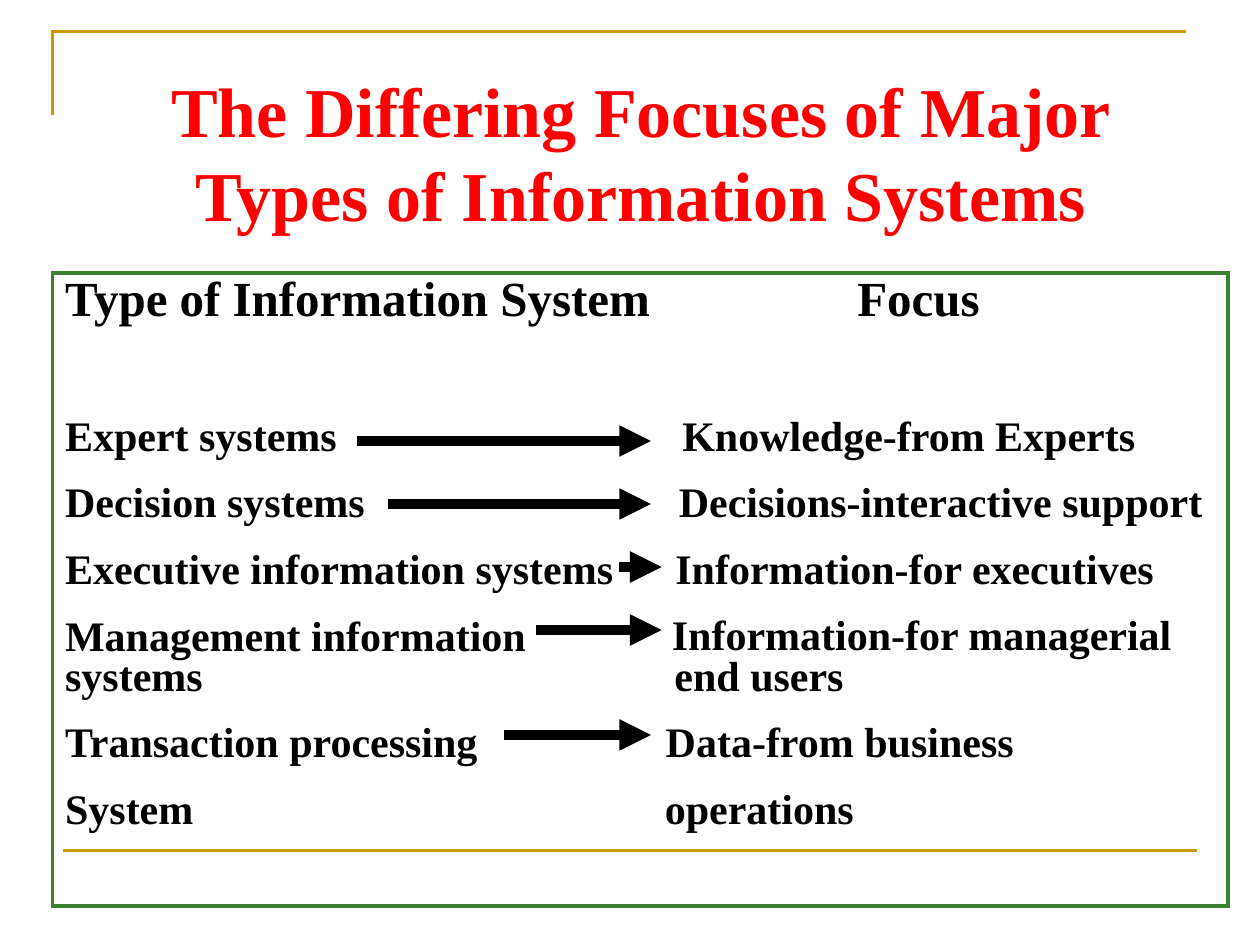
from lxml.etree import SubElement
from pptx import Presentation
from pptx.dml.color import RGBColor
from pptx.enum.shapes import MSO_CONNECTOR
from pptx.enum.text import MSO_ANCHOR, MSO_AUTO_SIZE, PP_ALIGN
from pptx.oxml.ns import qn
from pptx.util import Pt

BLACK = RGBColor(0, 0, 0)
RED = RGBColor(0xFF, 0, 0)
GREEN = RGBColor(0x3B, 0x81, 0x2F)
GOLD = RGBColor(0xCC, 0x99, 0)


def write(paragraph, text, size, color=BLACK, align=PP_ALIGN.LEFT, before=0, spacing=1.0, margin=0):
    paragraph.text = text
    properties = paragraph._p.get_or_add_pPr()
    properties.set("marL", str(Pt(margin)))
    properties.set("indent", "0")
    SubElement(properties, qn("a:buNone"))
    paragraph.alignment = align
    paragraph.space_before = Pt(before)
    paragraph.line_spacing = spacing
    for run in paragraph.runs:
        run.font.name = "Times New Roman"
        run.font.size = Pt(size)
        run.font.bold = True
        run.font.color.rgb = color


def draw_line(left, right, y, color, width, arrow=False):
    line = slide.shapes.add_connector(MSO_CONNECTOR.STRAIGHT, Pt(left), Pt(y), Pt(right), Pt(y))
    line.line.color.rgb = color
    line.line.width = Pt(width)
    if arrow:
        SubElement(line.line._get_or_add_ln(), qn("a:tailEnd"), type="triangle")
    SubElement(line._element.spPr, qn("a:effectLst"))


presentation = Presentation()
presentation.slide_width, presentation.slide_height = Pt(720), Pt(540)
slide = presentation.slides.add_slide(presentation.slide_layouts[1])

title = slide.shapes.title
title.left, title.top, title.width, title.height = Pt(48), Pt(34), Pt(636), Pt(104)
title.text_frame.auto_size = MSO_AUTO_SIZE.NONE
title.text_frame.vertical_anchor = MSO_ANCHOR.BOTTOM
write(title.text_frame.paragraphs[0], "The Differing Focuses of Major Types of Information Systems",
      size=40, color=RED, align=PP_ALIGN.CENTER)

systems = slide.placeholders[1]
systems.left, systems.top, systems.width, systems.height = Pt(30), Pt(156), Pt(672), Pt(361.5)
focuses = slide.shapes.add_textbox(Pt(372.8), Pt(156), Pt(329.2), Pt(361.5))

corner = slide.shapes.build_freeform(Pt(30), Pt(66), scale=1.0)
corner.add_line_segments([(Pt(30), Pt(18)), (Pt(678), Pt(18))], close=False)
frame = corner.convert_to_shape()
frame.shadow.inherit = False
frame.fill.background()

for outlined, color, width in [(systems, GREEN, 2.25), (frame, GOLD, 1.5)]:
    outlined.line.color.rgb = color
    outlined.line.width = Pt(width)
    SubElement(outlined.line._get_or_add_ln(), qn("a:miter"), lim="800000")

system_rows = [
    ("Expert systems", 53, 0),
    ("Decision systems", 15, 0),
    ("Executive information systems", 15, 0),
    ("Management information\vsystems", 15, 0),
    ("Transaction processing", 15, 0),
    ("System", 15, 0),
]
focus_rows = [
    ("Knowledge-from Experts", 53, 10),
    ("Decisions-interactive support", 15, 8),
    ("Information-for executives", 15, 6),
    ("Information-for managerial", 15, 4),
    ("end users", 0, 5.5),
    ("Data-from business", 15, 0.5),
    ("operations", 15, 0),
]
columns = [
    (systems, "Type of Information System", 0, system_rows),
    (focuses, "Focus", 110, focus_rows),
]
for column, heading, heading_margin, rows in columns:
    text_frame = column.text_frame
    text_frame.word_wrap = True
    text_frame.auto_size = MSO_AUTO_SIZE.NONE
    text_frame.vertical_anchor = MSO_ANCHOR.TOP
    write(text_frame.paragraphs[0], heading, size=28, spacing=0.8, margin=heading_margin)
    for text, before, margin in rows:
        write(text_frame.add_paragraph(), text, size=24, before=before, spacing=0.8, margin=margin)

draw_line(36, 684, 486, GOLD, 1.5)
for left, right, y in [(204, 372, 252), (222, 372, 288), (354, 378, 324), (306, 378, 360), (288, 372, 420)]:
    draw_line(left, right, y, BLACK, 6, arrow=True)

presentation.save("out.pptx")
